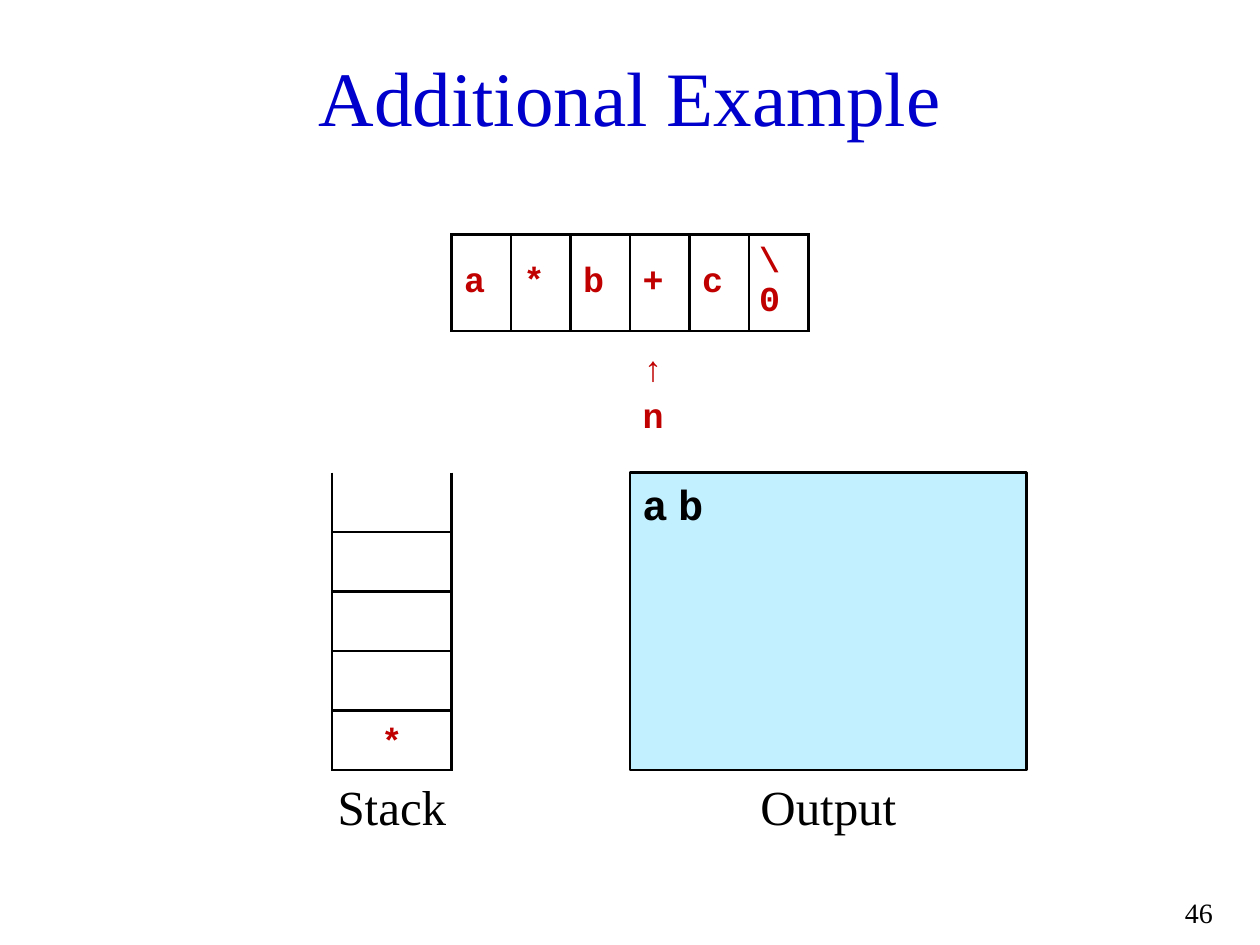
"""Build the slide that shows an expression, its stack and its output."""
from lxml.etree import SubElement
from pptx import Presentation
from pptx.dml.color import RGBColor
from pptx.enum.shapes import MSO_SHAPE
from pptx.enum.text import MSO_ANCHOR, PP_ALIGN
from pptx.oxml.ns import qn
from pptx.util import Cm, Inches, Pt

UNIT = Cm(0.4)
WIDE, HIGH = Inches(10), Inches(7.5)
CELL = 3
BLUE = RGBColor(0x00, 0x00, 0xCC)
RED = RGBColor(0xC0, 0x00, 0x00)
BLACK = RGBColor(0x00, 0x00, 0x00)
SKY = RGBColor(0xC2, 0xF0, 0xFF)
SERIF, MONO = "Times New Roman", "Courier New"


def place(col, row, cols, rows):
    return WIDE // 2 + col * UNIT, HIGH // 2 + row * UNIT, cols * UNIT, rows * UNIT


def write(frame, text, size=20, face=MONO, color=RED, bold=False,
          align=PP_ALIGN.LEFT, gap=0):
    para = frame.paragraphs[0]
    para.alignment = align
    run = para.add_run()
    run.text = text
    font = run.font
    font.size, font.name, font.bold = Pt(size), face, bold
    font.color.rgb = color
    if gap:
        run._r.get_or_add_rPr().set("spc", str(gap * 100))


def add_title(slide, text):
    title = slide.shapes.title
    title.left, title.top, title.width, title.height = place(-29, -22, 58, 6)
    title.text_frame.vertical_anchor = MSO_ANCHOR.MIDDLE
    write(title.text_frame, text, size=44, face=SERIF, color=BLUE,
          align=PP_ALIGN.CENTER)


def add_label(slide, text, spot, size=28, align=PP_ALIGN.CENTER):
    box = slide.shapes.add_textbox(*place(*spot))
    box.text_frame.word_wrap = True
    write(box.text_frame, text, size=size, face=SERIF, color=BLACK, align=align)


def add_edges(cell, sides):
    props = cell._tc.get_or_add_tcPr()
    for side in "LRTB":
        line = SubElement(props, qn("a:ln" + side), w=str(Pt(1.5)))
        if side in sides:
            fill = SubElement(line, qn("a:solidFill"))
            SubElement(fill, qn("a:srgbClr"), val=str(BLACK))
        else:
            SubElement(line, qn("a:noFill"))
    cell.fill.background()


def add_grid(slide, rows, edges, spot, width, align=PP_ALIGN.LEFT,
             anchor=MSO_ANCHOR.MIDDLE):
    count, cols = len(rows), len(rows[0])
    area = place(*spot, cols * width, count * CELL)
    table = slide.shapes.add_table(count, cols, *area).table
    table.first_row = table.horz_banding = False
    for row, texts, sides in zip(table.rows, rows, edges):
        row.height = CELL * UNIT
        for cell, text in zip(row.cells, texts):
            add_edges(cell, sides)
            cell.vertical_anchor = anchor
            if text:
                write(cell.text_frame, text, bold=True, align=align)
    for col in table.columns:
        col.width = width * UNIT
    return table


def add_input(slide):
    rows = [["a", "*", "b", "+", "c", "\\0"],
            ["", "", "", "↑", "", ""],
            ["", "", "", "n", "", ""]]
    table = add_grid(slide, rows, ["LRTB", "T", ""], (-9, -12), CELL)
    end, arrow = table.cell(0, 5), table.cell(1, 3)
    end.margin_left = end.margin_right = Inches(0.08)
    arrow.margin_top, arrow.margin_bottom = Inches(0.16), 0
    table.cell(2, 3).vertical_anchor = MSO_ANCHOR.TOP


def add_stack(slide):
    rows = [[""]] * 4 + [["*"]]
    add_grid(slide, rows, ["LRB"] + ["LRTB"] * 4, (-15, 0), 2 * CELL,
             align=PP_ALIGN.CENTER, anchor=MSO_ANCHOR.BOTTOM)
    add_label(slide, "Stack", (-16, 15, 8, 4))


def add_output(slide):
    box = slide.shapes.add_shape(MSO_SHAPE.RECTANGLE, *place(0, 0, 20, 15))
    box.shadow.inherit = False
    box.fill.solid()
    box.fill.fore_color.rgb = SKY
    box.line.color.rgb = BLACK
    box.line.width = Pt(1.5)
    box.text_frame.vertical_anchor = MSO_ANCHOR.TOP
    write(box.text_frame, "ab", size=24, color=BLACK, bold=True, gap=6)
    add_label(slide, "Output", (5, 15, 10, 4))


def main():
    deck = Presentation()
    deck.slide_width, deck.slide_height = WIDE, HIGH
    slide = deck.slides.add_slide(deck.slide_layouts[5])
    add_title(slide, "Additional Example")
    add_label(slide, "46", (26, 21, 4, 2), size=16, align=PP_ALIGN.RIGHT)
    add_input(slide)
    add_stack(slide)
    add_output(slide)
    deck.save("out.pptx")


if __name__ == "__main__":
    main()
